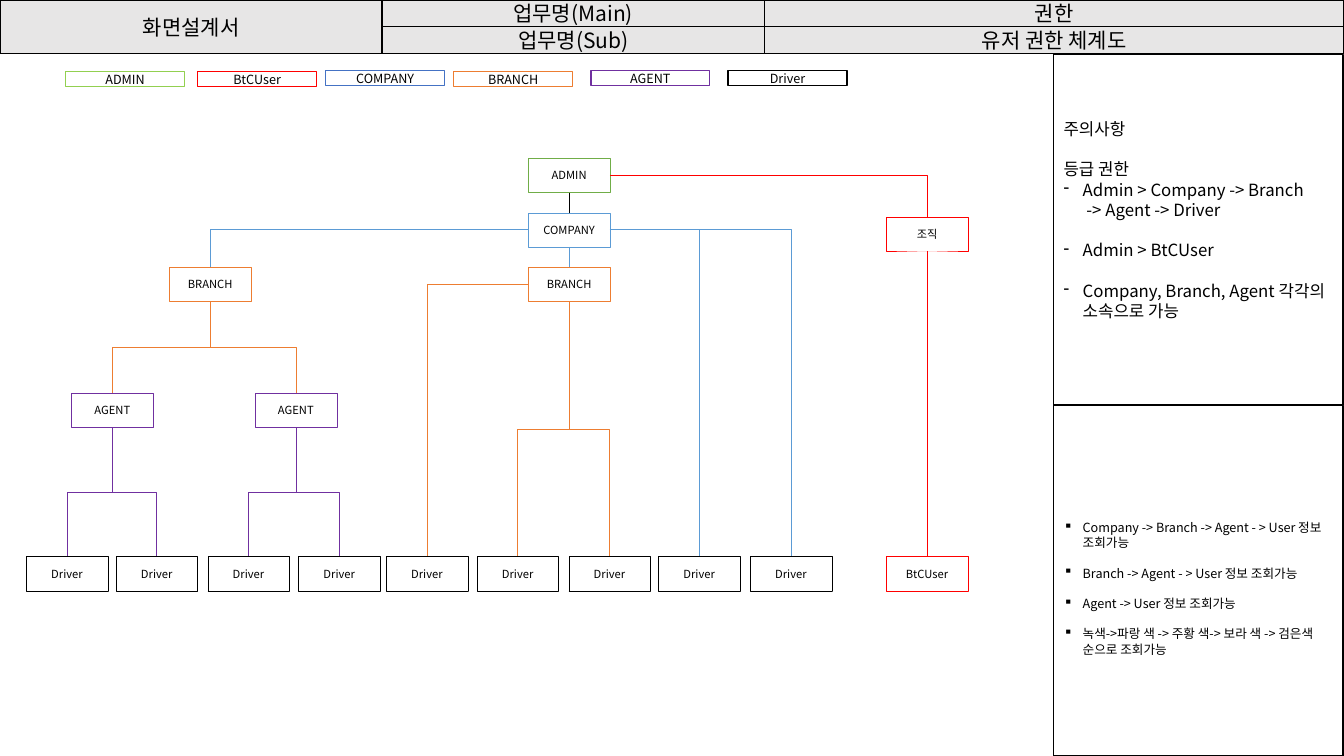
from lxml import etree
from pptx import Presentation
from pptx import util as u
from pptx.dml.color import RGBColor
from pptx.enum import shapes, text
from pptx.oxml.ns import qn

FONT = "Noto Sans CJK KR"
W, H = 13.33, 7.5
COLORS = {
    "black": "000000", "white": "FFFFFF", "band": "E7E6E6", "navy": "325491",
    "lime": "92D050", "green": "70AD47", "blue": "4472C4", "sky": "5B9BD5",
    "orange": "ED7D31", "purple": "7030A0", "red": "FF0000",
}
LEFT, CENTER = text.PP_ALIGN.LEFT, text.PP_ALIGN.CENTER
SIDE, BOTTOM = {"left": 1, "right": 3}, 2

LEGEND = [("ADMIN", 0.65, 0.71, "lime"), ("BtCUser", 1.96, 0.71, "red"),
          ("COMPANY", 3.23, 0.7, "blue"), ("BRANCH", 4.5, 0.71, "orange"),
          ("AGENT", 5.86, 0.7, "purple"), ("Driver", 7.22, 0.7, "black")]

# Chart grid: row tops and the left edges of the driver columns
ROWS = {"admin": 1.57, "company": 2.11, "org": 2.15, "branch": 2.65, "agent": 3.9, "driver": 5.52}
DRIVER_COLS = [0.26, 1.15, 2.06, 2.96, 3.83, 4.73, 5.64, 6.53, 7.44]
NODES = {  # key: label, left, row, colour
    "admin": ("ADMIN", 5.24, "admin", "green"),
    "company": ("COMPANY", 5.24, "company", "sky"),
    "branch1": ("BRANCH", 1.68, "branch", "orange"),
    "branch2": ("BRANCH", 5.24, "branch", "orange"),
    "agent1": ("AGENT", 0.71, "agent", "purple"),
    "agent2": ("AGENT", 2.53, "agent", "purple"),
    "org": ("조직", 8.79, "org", "red"),
    "btc": ("BtCUser", 8.79, "driver", "red"),
}
NODES.update({f"driver{i}": ("Driver", x, "driver", "black")
              for i, x in enumerate(DRIVER_COLS, 1)})
LINKS = [  # parent, exit side, line colour, children
    ("admin", "bottom", "black", ["company"]),
    ("company", "bottom", "sky", ["branch2"]),
    ("company", "left", "sky", ["branch1"]),
    ("company", "right", "sky", ["driver8", "driver9"]),
    ("branch1", "bottom", "orange", ["agent1", "agent2"]),
    ("agent1", "bottom", "purple", ["driver1", "driver2"]),
    ("agent2", "bottom", "purple", ["driver3", "driver4"]),
    ("branch2", "left", "orange", ["driver5"]),
    ("branch2", "bottom", "orange", ["driver6", "driver7"]),
    ("admin", "right", "red", ["org"]),
    ("org", "bottom", "red", ["btc"]),
]

CAUTIONS = [  # text, bullet, gap before in lines
    ("주의사항", None, 0),
    ("등급 권한", None, 1),
    ("Admin > Company -> Branch\v -> Agent -> Driver", "-", 0),
    ("Admin > BtCUser", "-", 1),
    ("Company, Branch, Agent 각각의 소속으로 가능", "-", 1),
]
LOOKUPS = [
    ("Company -> Branch -> Agent - > User 정보 조회가능", "▪", 0),
    ("Branch -> Agent - > User 정보 조회가능", "▪", 1),
    ("Agent -> User 정보 조회가능", "▪", 1),
    ("녹색->파랑 색 -> 주황 색-> 보라 색 -> 검은색 순으로 조회가능", "▪", 1),
]


def rgb(name):
    return RGBColor.from_string(COLORS[name])


def write(sp, items, size, align=CENTER, **insets):
    tf = sp.text_frame
    frame = {"word_wrap": True, "auto_size": text.MSO_AUTO_SIZE.NONE,
             "vertical_anchor": text.MSO_ANCHOR.MIDDLE}
    margins = {"left": 0.1, "right": 0.1, "top": 0.05, "bottom": 0.05, **insets}
    frame.update({f"margin_{side}": u.Inches(v) for side, v in margins.items()})
    for name, value in frame.items():
        setattr(tf, name, value)
    for i, (words, bullet, gap) in enumerate(items):
        p = tf.paragraphs[0] if i == 0 else tf.add_paragraph()
        p.text, p.alignment = words, align
        p.space_before = u.Pt(round(size * 1.21 * gap, 1))
        if bullet:
            pPr = p._p.get_or_add_pPr()
            pPr.set("marL", str(u.Inches(0.19)))
            pPr.set("indent", str(-u.Inches(0.19)))
            etree.SubElement(pPr, qn("a:buChar"), char=bullet)
        for r in p.runs:
            for name, value in {"size": u.Pt(size), "name": FONT, "bold": False}.items():
                setattr(r.font, name, value)
            r.font.color.rgb = rgb("black")
            etree.SubElement(r._r.get_or_add_rPr(), qn("a:ea"), typeface=FONT)
        for br in p._p.findall(qn("a:br")):
            etree.SubElement(br, qn("a:rPr"), sz=str(size * 100))


def paint(sp, fill, line, width):
    if fill:
        sp.fill.solid()
        sp.fill.fore_color.rgb = rgb(fill)
    else:
        sp.fill.background()
    sp.line.color.rgb = rgb(line)
    sp.line.width = u.Pt(width)


def add_box(slide, box, fill, line, width=1):
    sp = slide.shapes.add_shape(shapes.MSO_SHAPE.RECTANGLE, *map(u.Inches, box))
    sp.shadow.inherit = False
    paint(sp, fill, line, width)
    return sp


def add_line(slide, kind, ends, color):
    cxn = slide.shapes.add_connector(kind, *map(u.Inches, ends))
    cxn.line.color.rgb = rgb(color)
    cxn.line.width = u.Pt(0.5)
    etree.SubElement(cxn._element.spPr, qn("a:effectLst"))
    return cxn


def add_header(slide, box):
    x, y, w, h = box
    col, half = 3.79, h / 2
    last = w - 2 * col
    for left, width, line in [(x, w, "black"), (x + col, col, "navy"), (x + 2 * col, last, "navy")]:
        add_box(slide, (left, y, width, h), "band", line)
    cells = [("화면설계서", (x, y, col, h)),
             ("권한", (x + 2 * col, y, last, half)),
             ("업무명(Main)", (x + col, y, col, half)),
             ("업무명(Sub)", (x + col, y + half, col, half))]
    for label, cell in cells:
        write(add_box(slide, cell, "band", "black"), [(label, None, 0)], 15)
    title = slide.shapes.title
    place = (x + 2 * col, y + half, last, half)
    for name, value in zip(("left", "top", "width", "height"), place):
        setattr(title, name, u.Inches(value))
    paint(title, "band", "black", 1)
    write(title, [("유저 권한 체계도", None, 0)], 15)
    slide.shapes._spTree.append(title._element)  # bring the title above the band


def add_notes_column(slide, box):
    x, y, w, h = box
    add_line(slide, shapes.MSO_CONNECTOR.STRAIGHT, (x, y, x, y + h), "black")
    panels = [(CAUTIONS, 12, {"bottom": 0.25}), (LOOKUPS, 9, {"top": 0.2})]
    for i, (items, size, insets) in enumerate(panels):
        sp = add_box(slide, (x, y + i * h / 2, w, h / 2), "white", "black")
        write(sp, items, size, LEFT, **insets)


def add_legend(slide):
    for label, x, y, color in LEGEND:
        sp = add_box(slide, (x, y, 1.18, 0.15), None, color)
        write(sp, [(label, None, 0)], 9)


def turn_downward(cxn):
    """Make a three-part elbow leave its parent vertically."""
    x1, y1, x2, y2 = cxn.begin_x, cxn.begin_y, cxn.end_x, cxn.end_y
    dx, dy = abs(x2 - x1), y2 - y1
    cxn.left, cxn.top = (x1 + x2 - dy) // 2, (y1 + y2 - dx) // 2
    cxn.width, cxn.height = dy, dx
    xfrm = cxn._element.spPr.find(qn("a:xfrm"))
    xfrm.set("rot", "16200000" if x2 > x1 else "5400000")
    xfrm.set("flipH", "1" if x2 > x1 else "0")


def add_org_chart(slide):
    boxes = {}
    for key, (label, x, row, color) in NODES.items():
        boxes[key] = add_box(slide, (x, ROWS[row], 0.81, 0.34), None, color, 0.1)
        write(boxes[key], [(label, None, 0)], 8)
    for parent, side, color, children in LINKS:
        for child in children:
            start, end = boxes[parent], boxes[child]
            straight = side == "bottom" and start.left == end.left
            kind = shapes.MSO_CONNECTOR.STRAIGHT if straight else shapes.MSO_CONNECTOR.ELBOW
            cxn = add_line(slide, kind, (0, 0, 1, 1), color)
            cxn.begin_connect(start, SIDE.get(side, BOTTOM))
            cxn.end_connect(end, 0)
            if side in SIDE:
                cxn._element.spPr.find(qn("a:prstGeom")).set("prst", "bentConnector2")
            elif not straight:
                turn_downward(cxn)


def main():
    prs = Presentation()
    prs.slide_width, prs.slide_height = u.Inches(W), u.Inches(H)
    slide = prs.slides.add_slide(prs.slide_layouts[5])
    add_header(slide, (0, 0, W, 0.53))
    add_notes_column(slide, (10.45, 0.54, 2.87, 6.96))
    add_org_chart(slide)
    add_legend(slide)
    prs.save("out.pptx")


if __name__ == "__main__":
    main()
